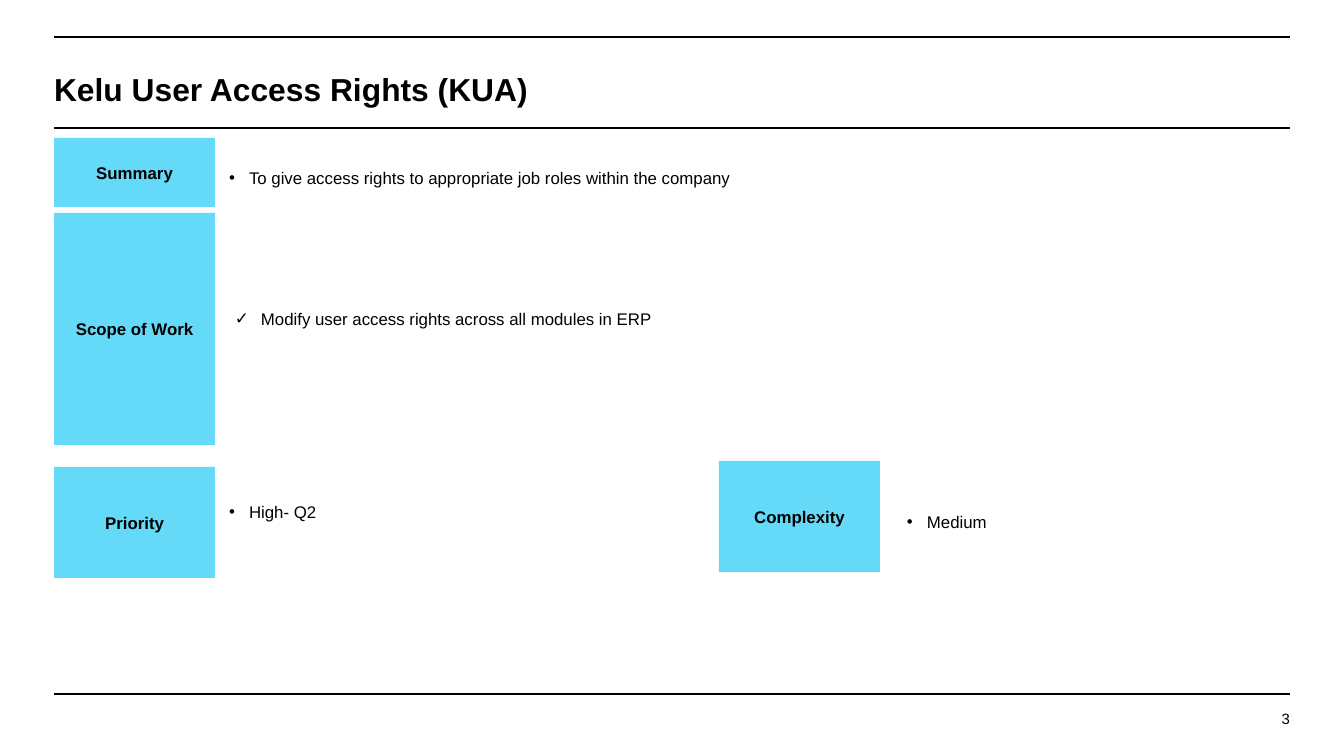
from lxml.etree import SubElement
from pptx import Presentation
from pptx.dml.color import RGBColor
from pptx.enum.shapes import MSO_CONNECTOR as Connector, MSO_SHAPE as Preset
from pptx.enum.text import MSO_ANCHOR as Anchor, MSO_AUTO_SIZE as AutoSize, PP_ALIGN as Align
from pptx.oxml.ns import qn
from pptx.util import Emu, Pt

COLORS = {"ink": "000000", "label": "65D9F8"}
FONT = "Arial"
EMU_PER_PX = 914400 / 134.4
LEFT, RIGHT = 54, 1290
LABEL_WIDTH = 161
COMPARISON_LAYOUT = 4

RULES = [37, 128, 694]
LABELS = [
    ("Summary", LEFT, 138, 69),
    ("Scope of Work", LEFT, 213, 232),
    ("Priority", LEFT, 467, 111),
    ("Complexity", 719, 461, 111),
]
LISTS = [
    ("To give access rights to appropriate job roles within the company",
     (229, 138, 1055, 70), "•", 20, 9),
    ("Modify user access rights across all modules in ERP",
     (235, 214, 1055, 232), "✓", 26, 42),
    ("High- Q2", (229, 468, 477, 111), "•", 20, 42),
    ("Medium", (907, 461, 398, 111), "•", 20, 9),
]


def px(length):
    return Emu(round(length * EMU_PER_PX))


def color(name):
    return RGBColor.from_string(COLORS[name])


def place(shape, left, top, width, height):
    shape.left, shape.top = px(left), px(top)
    shape.width, shape.height = px(width), px(height)


def write(shape, text, size, bold=False, align=Align.LEFT, spacing=1.0,
          anchor=Anchor.MIDDLE, top_inset=0, bottom_inset=0):
    frame = shape.text_frame
    frame.word_wrap = True
    frame.auto_size = AutoSize.NONE
    frame.vertical_anchor = anchor
    frame.margin_left = frame.margin_right = 0
    frame.margin_top, frame.margin_bottom = px(top_inset), px(bottom_inset)
    paragraph = frame.paragraphs[0]
    paragraph.alignment = align
    paragraph.line_spacing = spacing
    paragraph.space_before = Pt(0)
    run = paragraph.add_run()
    run.text = text
    run.font.name = FONT
    run.font.size = Pt(size)
    run.font.bold = bold
    run.font.color.rgb = color("ink")
    return paragraph


def set_bullet(paragraph, symbol, indent):
    properties = paragraph._p.get_or_add_pPr()
    properties.set("marL", str(px(indent)))
    properties.set("indent", str(-px(indent)))
    bullet_color = SubElement(properties, qn("a:buClr"))
    SubElement(bullet_color, qn("a:srgbClr")).set("val", COLORS["ink"])
    SubElement(properties, qn("a:buFont")).set("typeface", FONT)
    SubElement(properties, qn("a:buChar")).set("char", symbol)


def add_rule(slide, y):
    rule = slide.shapes.add_connector(
        Connector.STRAIGHT, px(LEFT), px(y), px(RIGHT), px(y))
    rule.line.color.rgb = color("ink")
    rule.line.width = Pt(0.75)
    SubElement(rule._element.spPr, qn("a:effectLst"))


def add_label(slide, text, left, top, height):
    label = slide.shapes.add_shape(
        Preset.RECTANGLE, px(left), px(top), px(LABEL_WIDTH), px(height))
    label.shadow.inherit = False
    label.fill.solid()
    label.fill.fore_color.rgb = color("label")
    label.line.fill.background()
    write(label, text, 9, bold=True, align=Align.CENTER, spacing=1.03)


def fill_list(body, text, box, symbol, indent, bottom_inset):
    place(body, *box)
    item = write(body, text, 9, spacing=1.5, top_inset=9, bottom_inset=bottom_inset)
    set_bullet(item, symbol, indent)


def add_page_number(slide, number):
    page = slide.shapes.add_textbox(px(1108), px(710), px(182), px(32))
    write(page, number, 8, align=Align.RIGHT, anchor=Anchor.TOP)


def main():
    deck = Presentation()
    deck.slide_width, deck.slide_height = px(1344), px(756)
    slide = deck.slides.add_slide(deck.slide_layouts[COMPARISON_LAYOUT])
    title, *bodies = slide.placeholders

    for y in RULES:
        add_rule(slide, y)
    place(title, LEFT, 53, RIGHT - LEFT, 71)
    write(title, "Kelu User Access Rights (KUA)", 17, bold=True, spacing=1.03)
    for label in LABELS:
        add_label(slide, *label)
    for body, content in zip(bodies, LISTS):
        fill_list(body, *content)
    add_page_number(slide, "3")
    deck.save("out.pptx")


if __name__ == "__main__":
    main()
